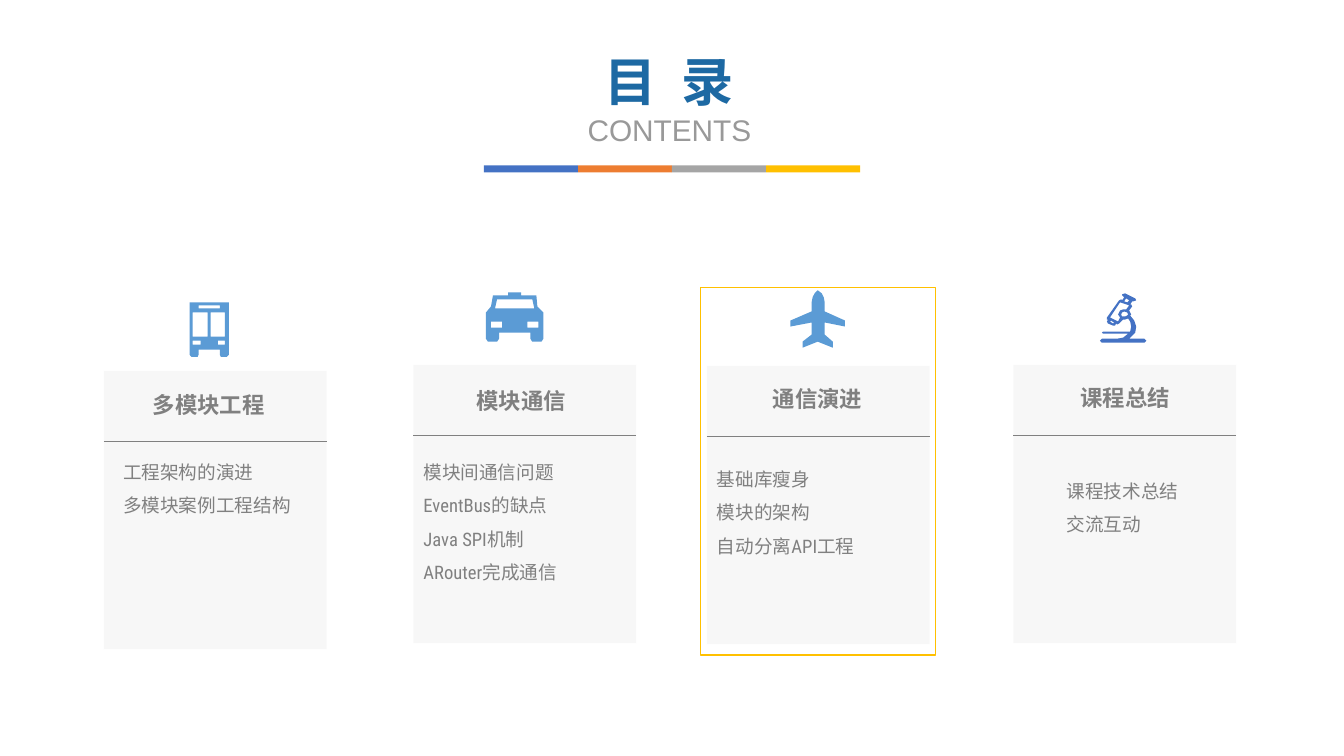
from lxml import etree
from pptx import Presentation
from pptx.dml.color import RGBColor
from pptx.enum.shapes import MSO_CONNECTOR, MSO_SHAPE
from pptx.enum.text import MSO_ANCHOR, MSO_AUTO_SIZE, PP_ALIGN
from pptx.oxml.ns import qn
from pptx.util import Inches, Pt

COLORS = {
    "blue": "4472C4", "orange": "ED7D31", "gray": "A5A5A5", "gold": "FFC000",
    "title": "1D69A3", "subtitle": "999999", "text": "808080",
    "card": "D9D9D9", "icon": "5B9BD5",
}
FONT = "Roboto Condensed"
CARD_W, CARD_H, RULE_DROP = 2.21, 2.76, 0.7
HEAD_W, HEAD_H = 1.8, 0.37

# Icon outlines: closed contours in hundredths of an inch
BUS = [
    [(188, 300), (227, 300), (227, 352), (225, 354), (219, 354), (218, 352),
     (218, 347), (197, 347), (197, 352), (196, 354), (190, 354), (188, 352)],
    [(216, 338), (223, 338), (223, 342), (216, 342)],
    [(209, 310), (223, 310), (223, 334), (209, 334)],
    [(197, 303), (218, 303), (218, 306), (197, 306)],
    [(191, 310), (206, 310), (206, 334), (191, 334)],
    [(191, 338), (199, 338), (199, 342), (191, 342)],
]
CAR = [
    [(484, 339), (493, 339), (495, 336), (495, 330), (526, 330), (526, 336),
     (528, 339), (537, 339), (539, 336), (539, 310), (533, 304), (532, 293),
     (517, 293), (517, 290), (504, 290), (504, 293), (489, 293), (487, 304),
     (482, 310), (482, 336)],
    [(523, 319), (534, 319), (534, 325), (523, 325)],
    [(493, 297), (528, 297), (530, 306), (491, 306)],
    [(487, 319), (498, 319), (498, 325), (487, 325)],
]
PLANE = [
    [(811, 288), (808, 291), (806, 295), (805, 300), (805, 309), (784, 318),
     (784, 324), (805, 320), (805, 332), (796, 339), (796, 345), (811, 339),
     (826, 345), (826, 339), (818, 332), (818, 320), (838, 324), (838, 318),
     (818, 309), (818, 300), (817, 295), (815, 291)],
]
MICROSCOPE = [
    [(1121, 313), (1125, 318), (1127, 324), (1126, 330), (1121, 335),
     (1120, 336), (1135, 336), (1137, 338), (1135, 340), (1093, 340),
     (1091, 338), (1093, 336), (1108, 336), (1114, 335), (1119, 331),
     (1094, 331), (1093, 330), (1094, 329), (1121, 329), (1122, 324),
     (1121, 319), (1119, 316), (1116, 317), (1114, 317), (1110, 321),
     (1108, 322), (1107, 321), (1106, 323), (1104, 323), (1099, 321),
     (1098, 319), (1099, 317), (1098, 317), (1098, 315), (1110, 298),
     (1112, 297), (1113, 298), (1115, 295), (1113, 293), (1113, 292),
     (1116, 291), (1126, 296), (1127, 298), (1124, 299), (1123, 299),
     (1121, 302), (1122, 302), (1123, 304), (1120, 308), (1122, 312)],
    [(1120, 298), (1117, 296), (1115, 299), (1118, 300)],
    [(1117, 307), (1120, 303), (1111, 300), (1101, 315), (1109, 319),
     (1111, 315), (1109, 312), (1111, 308), (1114, 307)],
    [(1118, 310), (1115, 309), (1113, 310), (1112, 312), (1113, 314),
     (1116, 314), (1118, 313), (1119, 312)],
    [(1102, 318), (1101, 319), (1104, 321), (1105, 320)],
]

# Card left, top; heading, its centre and top; list left and top; list; icon
CARDS = [
    (1.03, 3.68, "多模块工程", 2.07, 3.83, 1.12, 4.41,
     ["工程架构的演进", "多模块案例工程结构"], BUS, "icon"),
    (4.1, 3.62, "模块通信", 5.17, 3.79, 4.1, 4.41,
     ["模块间通信问题", "EventBus的缺点", "Java SPI机制", "ARouter完成通信"],
     CAR, "icon"),
    (7.01, 3.63, "通信演进", 8.11, 3.77, 7.01, 4.48,
     ["基础库瘦身", "模块的架构", "自动分离API工程"], PLANE, "icon"),
    (10.05, 3.62, "课程总结", 11.16, 3.76, 10.48, 4.6,
     ["课程技术总结", "交流互动"], MICROSCOPE, "blue"),
]


def rgb(name):
    return RGBColor.from_string(COLORS[name])


def place(sp, x, y, w, h):
    sp.left, sp.top = Inches(x), Inches(y)
    sp.width, sp.height = Inches(w), Inches(h)


def prepare(tf, wrap=True):
    tf.word_wrap = wrap
    tf.auto_size = MSO_AUTO_SIZE.NONE
    tf.vertical_anchor = MSO_ANCHOR.TOP


def style(p, size, color, font=FONT, bold=False):
    for r in p.runs:
        r.font.name, r.font.size, r.font.bold = font, Pt(size), bold
        r.font.color.rgb = rgb(color)


def add_rect(s, x, y, w, h, fill=None, line=None, alpha=None):
    sp = s.shapes.add_shape(MSO_SHAPE.RECTANGLE, Inches(x), Inches(y),
                            Inches(w), Inches(h))
    sp.shadow.inherit = False
    if fill:
        sp.fill.solid()
        sp.fill.fore_color.rgb = rgb(fill)
    else:
        sp.fill.background()
    if line:
        sp.line.color.rgb = rgb(line)
        sp.line.width = Pt(1)
    else:
        sp.line.fill.background()
    if alpha:
        clr = sp.fill._xPr.find(".//" + qn("a:srgbClr"))
        etree.SubElement(clr, qn("a:alpha")).set("val", str(alpha * 1000))


def add_rule(s, x, y, w):
    line = s.shapes.add_connector(MSO_CONNECTOR.STRAIGHT, Inches(x), Inches(y),
                                  Inches(x + w), Inches(y))
    line.line.color.rgb = rgb("text")
    line.line.width = Pt(0.5)
    etree.SubElement(line._element.spPr, qn("a:effectLst"))


def add_icon(s, contours, color):
    fb = s.shapes.build_freeform(*contours[0][0], scale=Inches(0.01))
    for i, points in enumerate(contours):
        if i:
            fb.move_to(*points[0])
        fb.add_line_segments(points[1:], close=True)
    sp = fb.convert_to_shape()
    sp.shadow.inherit = False
    sp.fill.solid()
    sp.fill.fore_color.rgb = rgb(color)
    sp.line.fill.background()


def add_heading(s, text, center, y):
    sp = s.shapes.add_textbox(Inches(center - HEAD_W / 2), Inches(y),
                              Inches(HEAD_W), Inches(HEAD_H))
    prepare(sp.text_frame)
    p = sp.text_frame.paragraphs[0]
    p.text = text
    p.alignment = PP_ALIGN.CENTER
    style(p, 16, "text", bold=True)


def fill_list(s, sp, items, x, y):
    s.shapes._spTree.append(sp._element)  # bring in front of its card
    place(sp, x, y, CARD_W, 0.1 + 0.34 * len(items))
    tf = sp.text_frame
    prepare(tf)
    tf.text = "\n".join(items)
    for p in tf.paragraphs:
        pPr = p._p.get_or_add_pPr()
        pPr.set("marL", "0")
        pPr.set("indent", "0")
        etree.SubElement(pPr, qn("a:buNone"))
        p.alignment = PP_ALIGN.LEFT
        p.line_spacing = 1.5
        p.space_before = Pt(0)
        style(p, 13.3, "text")


def fill_title(sp):
    place(sp, 5.56, 0.44, 2.16, 1.09)
    tf = sp.text_frame
    prepare(tf)
    tf.text = "目 录\nCONTENTS"
    name, subtitle = tf.paragraphs
    for p in tf.paragraphs:
        p.alignment = PP_ALIGN.CENTER
    style(name, 37.3, "title", bold=True)
    name.runs[0]._r.get_or_add_rPr().set("spc", "450")
    style(subtitle, 21.3, "subtitle", font="Arial")


def main():
    prs = Presentation()
    prs.slide_width, prs.slide_height = Inches(13.33), Inches(7.5)
    s = prs.slides.add_slide(prs.slide_layouts.get_by_name("Comparison"))
    title, *lists = list(s.placeholders)[:5]

    # Title and four-colour bar
    fill_title(title)
    bar_w = 3.73 / 4
    for i, color in enumerate(["blue", "orange", "gray", "gold"]):
        add_rect(s, 4.8 + i * bar_w, 1.64, bar_w, 0.07, color)

    # Chapter cards
    for body, card in zip(lists, CARDS):
        x, y, head, center, head_y, list_x, list_y, items, icon, color = card
        add_rect(s, x, y, CARD_W, CARD_H, "card", alpha=20)
        add_rule(s, x, y + RULE_DROP, CARD_W)
        add_heading(s, head, center, head_y)
        fill_list(s, body, items, list_x, list_y)
        add_icon(s, icon, color)

    # Frame around the current chapter
    add_rect(s, 6.95, 2.85, 2.33, 3.65, line="gold")
    prs.save("out.pptx")


if __name__ == "__main__":
    main()
